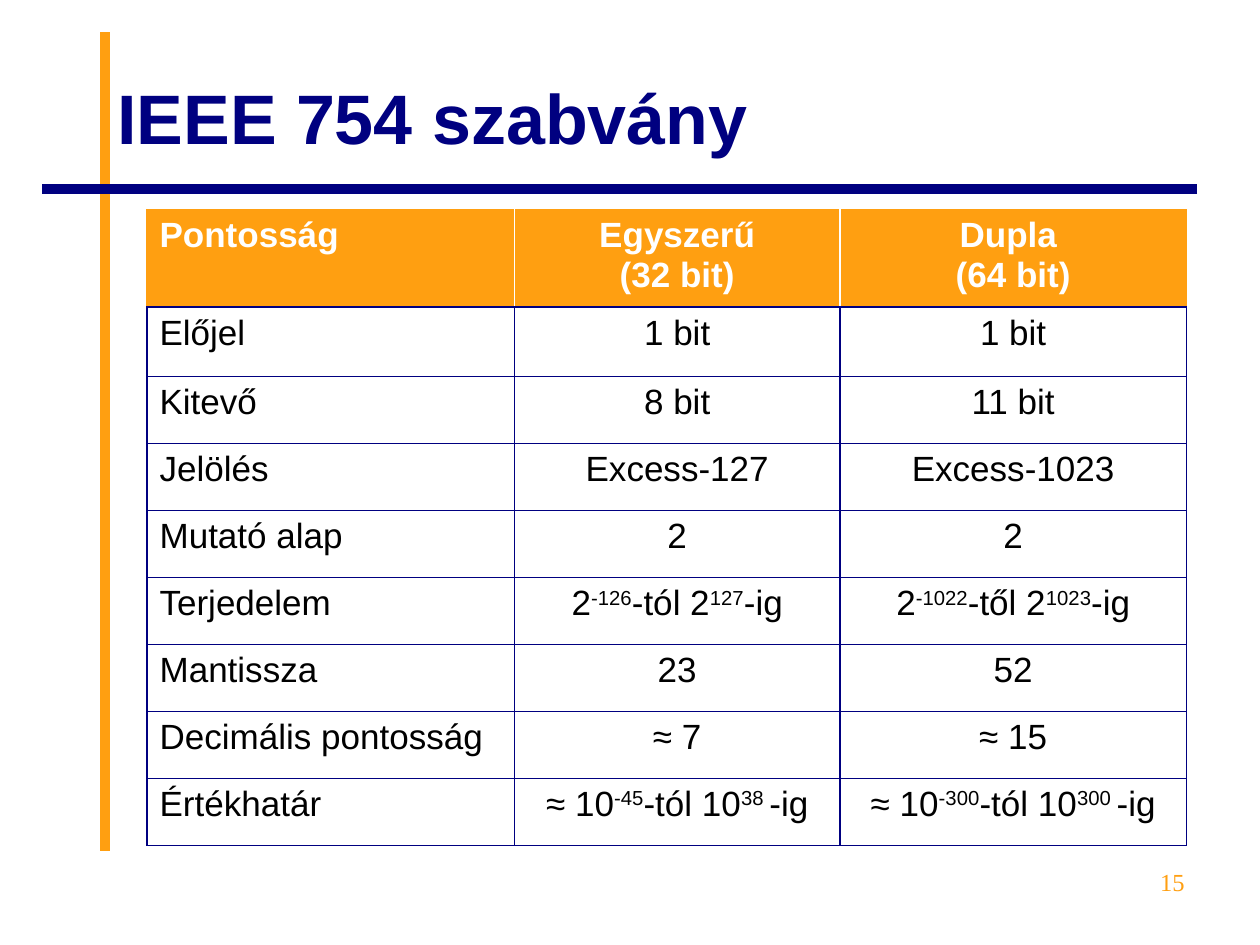
from dataclasses import dataclass

from lxml.etree import SubElement
from pptx import Presentation
from pptx.dml.color import RGBColor
from pptx.enum.shapes import MSO_CONNECTOR
from pptx.enum.text import MSO_ANCHOR, PP_ALIGN
from pptx.oxml.ns import qn
from pptx.util import Inches, Pt


@dataclass(frozen=True)
class Theme:
    """Colours, fonts, type sizes and line widths."""
    navy: str = "000080"
    orange: str = "FF9F11"
    white: str = "FFFFFF"
    black: str = "000000"
    sans: str = "Arial"
    serif: str = "Times New Roman"
    title_size: int = 40
    table_size: int = 20
    number_size: int = 14
    rule_width: float = 5.5
    border_width: float = 0.75


def write_text(frame, text, *, size, color, font, bold=False,
               align=PP_ALIGN.LEFT, anchor=MSO_ANCHOR.TOP):
    """Fill a frame; carets enclose superscripts and newlines break lines."""
    frame.word_wrap = True
    frame.vertical_anchor = anchor
    paragraph = frame.paragraphs[0]
    paragraph.alignment = align
    for line_index, line in enumerate(text.split("\n")):
        if line_index:
            paragraph.add_line_break()
        for part_index, part in enumerate(line.split("^")):
            run = paragraph.add_run()
            run.text = part
            run.font.size = Pt(size)
            run.font.name = font
            run.font.bold = bold
            run.font.color.rgb = RGBColor.from_string(color)
            if part_index % 2:
                run._r.get_or_add_rPr().set("baseline", "30000")


class SlideBuilder:
    """Places elements on a grid of 120 columns by 90 rows."""

    COLUMNS, ROWS = 120, 90

    def __init__(self, deck, theme):
        """Add a blank slide to the deck."""
        self.theme = theme
        self.column = deck.slide_width / self.COLUMNS
        self.row = deck.slide_height / self.ROWS
        self.slide = deck.slides.add_slide(deck.slide_layouts[6])

    def grid(self, *lengths):
        """Turn alternating column and row counts into slide lengths."""
        units = (self.column, self.row)
        return [round(n * units[i % 2]) for i, n in enumerate(lengths)]

    def rule(self, start, end, color):
        """Draw a thick straight line."""
        line = self.slide.shapes.add_connector(
            MSO_CONNECTOR.STRAIGHT, *self.grid(*start, *end))
        line.line.color.rgb = RGBColor.from_string(color)
        line.line.width = Pt(self.theme.rule_width)
        SubElement(line._element.spPr, qn("a:effectLst"))

    def text(self, box, text, **text_format):
        """Add a text box."""
        frame = self.slide.shapes.add_textbox(*self.grid(*box)).text_frame
        write_text(frame, text, **text_format)

    def border(self, cell, colors):
        """Draw the left, right, top and bottom borders of a cell."""
        properties = cell._tc.get_or_add_tcPr()
        for side, color in zip(("lnL", "lnR", "lnT", "lnB"), colors):
            line = SubElement(properties, qn(f"a:{side}"),
                              w=str(Pt(self.theme.border_width)))
            fill = SubElement(line, qn("a:solidFill"))
            SubElement(fill, qn("a:srgbClr"), val=color)

    def table(self, box, widths, heights, records):
        """Add a table with an orange header and navy gridlines."""
        theme = self.theme
        table = self.slide.shapes.add_table(
            len(records), len(widths), *self.grid(*box)).table
        table.horz_banding = False
        for column, width in zip(table.columns, widths):
            column.width = round(width * self.column)
        for row, height in zip(table.rows, heights):
            row.height = round(height * self.row)
        last = len(widths) - 1
        for r, record in enumerate(records):
            header = r == 0
            for c, text in enumerate(record):
                cell = table.cell(r, c)
                if header:
                    left = theme.white if c else theme.orange
                    right = theme.white if c < last else theme.orange
                    self.border(cell, (left, right, theme.orange, theme.navy))
                    cell.fill.solid()
                    cell.fill.fore_color.rgb = RGBColor.from_string(theme.orange)
                else:
                    self.border(cell, [theme.navy] * 4)
                    cell.fill.background()
                write_text(cell.text_frame, text, size=theme.table_size,
                           color=theme.white if header else theme.black,
                           font=theme.sans, bold=header,
                           align=PP_ALIGN.CENTER if c else PP_ALIGN.LEFT)


PRECISIONS = [
    ("Pontosság", "Egyszerű\n(32 bit)", "Dupla \n(64 bit)"),
    ("Előjel", "1 bit", "1 bit"),
    ("Kitevő", "8 bit", "11 bit"),
    ("Jelölés", "Excess-127", "Excess-1023"),
    ("Mutató alap", "2", "2"),
    ("Terjedelem", "2^-126^-tól 2^127^-ig", "2^-1022^-től 2^1023^-ig"),
    ("Mantissza", "23", "52"),
    ("Decimális pontosság", "≈ 7", "≈ 15"),
    ("Értékhatár", "≈ 10^-45^-tól 10^38 ^-ig", "≈ 10^-300^-tól 10^300 ^-ig"),
]


def main():
    """Build and save the slide."""
    theme = Theme()
    deck = Presentation()
    deck.slide_width, deck.slide_height = Inches(10), Inches(7.5)
    builder = SlideBuilder(deck, theme)
    builder.rule((10, 81), (10, 3), theme.orange)
    builder.rule((114, 18), (4, 18), theme.navy)
    builder.text((10, 3.6, 104, 15), "IEEE 754 szabvány",
                 size=theme.title_size, color=theme.navy, font=theme.sans,
                 bold=True, anchor=MSO_ANCHOR.MIDDLE)
    builder.table((14, 20, 99, 60.5), (35, 31, 33),
                  [9.25, 6.63] + [6.38] * 7, PRECISIONS)
    builder.text((86, 82, 28, 6.25), "15", size=theme.number_size,
                 color=theme.orange, font=theme.serif, align=PP_ALIGN.RIGHT)
    deck.save("out.pptx")


if __name__ == "__main__":
    main()
